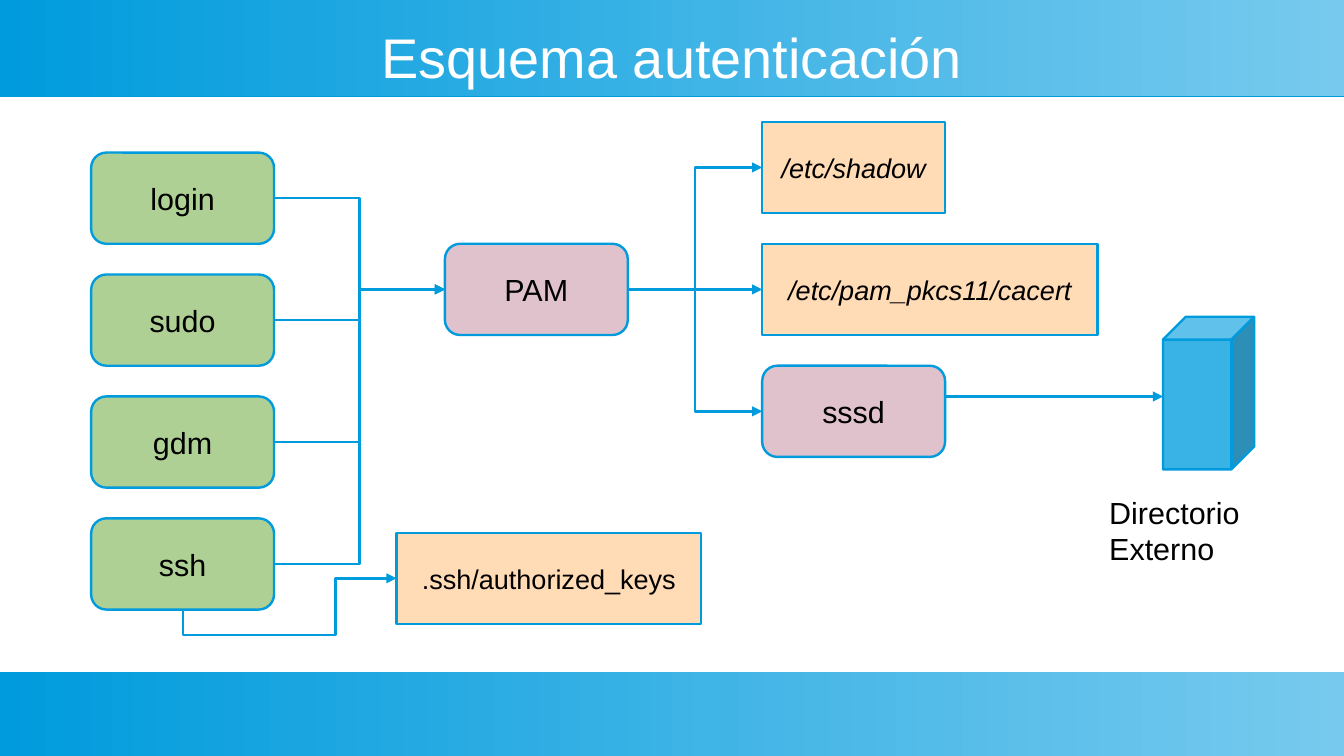
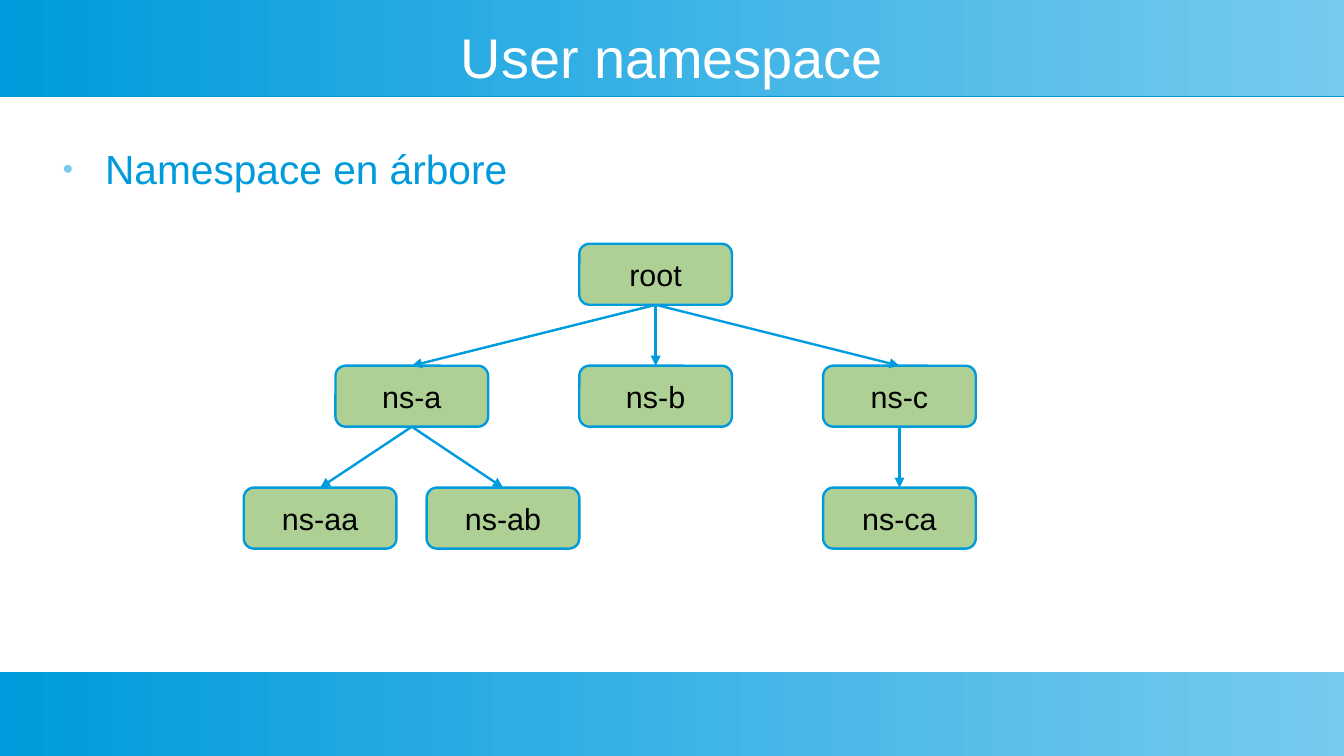
"""Build two slides: an authentication scheme and a tree of user namespaces."""
from lxml import etree
from pptx import Presentation
from pptx.dml.color import RGBColor
from pptx.enum.shapes import MSO_CONNECTOR, MSO_SHAPE
from pptx.enum.text import MSO_ANCHOR, MSO_AUTO_SIZE, PP_ALIGN
from pptx.oxml.ns import qn
from pptx.util import Cm, Pt

BLUE = RGBColor(0x00, 0x9B, 0xDD)
LIGHT_BLUE = RGBColor(0x77, 0xCA, 0xEE)
CUBE_BLUE = RGBColor(0x39, 0xB2, 0xE5)
GREEN = RGBColor(0xAF, 0xD0, 0x95)
PINK = RGBColor(0xE0, 0xC2, 0xCD)
PEACH = RGBColor(0xFF, 0xDB, 0xB6)
WHITE = RGBColor(0xFF, 0xFF, 0xFF)
BLACK = RGBColor(0x00, 0x00, 0x00)
RECTANGLE, ROUNDED, CUBE = MSO_SHAPE.RECTANGLE, MSO_SHAPE.ROUNDED_RECTANGLE, MSO_SHAPE.CUBE
STRAIGHT, ELBOW = MSO_CONNECTOR.STRAIGHT, MSO_CONNECTOR.ELBOW
LEFT, CENTER = PP_ALIGN.LEFT, PP_ALIGN.CENTER
TOP, MIDDLE = MSO_ANCHOR.TOP, MSO_ANCHOR.MIDDLE
NO_AUTOFIT = MSO_AUTO_SIZE.NONE
TOP_SITE, LEFT_SITE, BOTTOM_SITE, RIGHT_SITE = range(4)
LINE_WIDTH = Pt(1.42)
STEP = 2.54


def write_text(shape, text, size=18, color=BLACK, italic=False, align=CENTER,
               anchor=MIDDLE, wrap=True, inset=None):
    """Put formatted text into a shape."""
    frame = shape.text_frame
    frame.text = text
    frame.word_wrap = wrap
    frame.auto_size = NO_AUTOFIT
    frame.vertical_anchor = anchor
    if inset is not None:
        frame.margin_left = frame.margin_right = inset
        frame.margin_top = frame.margin_bottom = inset
    for paragraph in frame.paragraphs:
        paragraph.alignment = align
        paragraph.space_before = Pt(0)
        for run in paragraph.runs:
            run.font.name = "Arial"
            run.font.size = Pt(size)
            run.font.italic = italic
            run.font.color.rgb = color


def style_arrow(connector):
    """Give a connector the blue line and a triangular head."""
    connector.line.color.rgb = BLUE
    connector.line.width = LINE_WIDTH
    etree.SubElement(connector.line._get_or_add_ln(), qn("a:tailEnd"), type="triangle")
    etree.SubElement(connector._element.spPr, qn("a:effectLst"))


presentation = Presentation()
presentation.slide_width = Cm(28)
presentation.slide_height = Cm(15.75)
scheme = presentation.slides.add_slide(presentation.slide_layouts[5])
tree = presentation.slides.add_slide(presentation.slide_layouts[1])

master_tree = presentation.slide_master.shapes._spTree
for top, height in [(0, 2), (14, 1.75)]:
    band = scheme.shapes.add_shape(RECTANGLE, 0, Cm(top), Cm(28), Cm(height))
    band.line.fill.background()
    band.fill.gradient()
    band.fill.gradient_angle = 0
    for stop, color in zip(band.fill.gradient_stops, [BLUE, LIGHT_BLUE]):
        stop.color.rgb = color
    band.shadow.inherit = False
    effects = band._element.spPr.find(qn("a:effectLst"))
    shadow = etree.SubElement(effects, qn("a:outerShdw"), blurRad="0",
                              dist=str(Pt(0.9)), dir="5400000", rotWithShape="0")
    etree.SubElement(shadow, qn("a:srgbClr"), val=str(BLUE))
    master_tree.insert(2, band._element)

for slide, heading in [(scheme, "Esquema autenticación"), (tree, "User namespace")]:
    title = slide.shapes.title
    title.left, title.top, title.width, title.height = Cm(1), Cm(0.5), Cm(26), Cm(1.33)
    write_text(title, heading, size=33, color=WHITE, inset=0)

body = tree.placeholders[1]
body.left, body.top, body.width, body.height = Cm(1), Cm(3), Cm(26), Cm(10)
write_text(body, "Namespace en árbore", size=24, color=BLUE, align=LEFT, anchor=TOP, inset=0)
properties = body.text_frame.paragraphs[0]._p.get_or_add_pPr()
properties.set("marL", str(Cm(1.19)))
properties.set("indent", str(Cm(-0.89)))
bullet_color = etree.SubElement(properties, qn("a:buClr"))
etree.SubElement(bullet_color, qn("a:srgbClr"), val=str(LIGHT_BLUE))
etree.SubElement(properties, qn("a:buSzPct"), val="45000")
etree.SubElement(properties, qn("a:buFont"), typeface="Arial")
etree.SubElement(properties, qn("a:buChar"), char="●")

services = ["login", "sudo", "gdm", "ssh"]
box_specs = [
    (scheme, "PAM", ROUNDED, PINK, 9.27, 5.08, 3.81, 1.9),
    (scheme, "sssd", ROUNDED, PINK, 15.88, 7.62, 3.81, 1.9),
    (scheme, "/etc/shadow", RECTANGLE, PEACH, 15.88, 2.54, 3.81, 1.9),
    (scheme, "/etc/pam_pkcs11/cacert", RECTANGLE, PEACH, 15.88, 5.08, 6.99, 1.9),
    (scheme, ".ssh/authorized_keys", RECTANGLE, PEACH, 8.26, 11.1, 6.35, 1.9),
]
for row, service in enumerate(services):
    box_specs.append((scheme, service, ROUNDED, GREEN, 1.9, 3.18 + row * STEP, 3.81, 1.9))
for name, left, level in [("root", 12.07, 0), ("ns-a", 6.99, 1), ("ns-b", 12.07, 1),
                          ("ns-c", 17.15, 1), ("ns-aa", 5.08, 2), ("ns-ab", 8.89, 2),
                          ("ns-ca", 17.15, 2)]:
    box_specs.append((tree, name, ROUNDED, GREEN, left, 5.08 + level * STEP, 3.18, 1.27))
box_specs.append((scheme, "", CUBE, CUBE_BLUE, 24.23, 6.6, 1.9, 3.18))

boxes = {}
for slide, name, kind, fill, left, top, width, height in box_specs:
    box = slide.shapes.add_shape(kind, Cm(left), Cm(top), Cm(width), Cm(height))
    box.shadow.inherit = False
    box.fill.solid()
    box.fill.fore_color.rgb = fill
    box.line.color.rgb = BLUE
    box.line.width = LINE_WIDTH
    if name:
        write_text(box, name, size=16 if kind == RECTANGLE else 18,
                   italic=name.startswith("/etc"), wrap=False)
        boxes[name] = box

links = [(scheme, ELBOW, service, RIGHT_SITE, "PAM", LEFT_SITE) for service in services]
links += [
    (scheme, ELBOW, "PAM", RIGHT_SITE, "/etc/shadow", LEFT_SITE),
    (scheme, STRAIGHT, "PAM", RIGHT_SITE, "/etc/pam_pkcs11/cacert", LEFT_SITE),
    (scheme, ELBOW, "PAM", RIGHT_SITE, "sssd", LEFT_SITE),
    (scheme, ELBOW, "ssh", BOTTOM_SITE, ".ssh/authorized_keys", LEFT_SITE),
]
for parent, child in [("root", "ns-a"), ("root", "ns-b"), ("root", "ns-c"),
                      ("ns-a", "ns-aa"), ("ns-a", "ns-ab"), ("ns-c", "ns-ca")]:
    links.append((tree, STRAIGHT, parent, BOTTOM_SITE, child, TOP_SITE))

for slide, kind, source, source_site, target, target_site in links:
    connector = slide.shapes.add_connector(kind, 0, 0, 0, 0)
    connector.begin_connect(boxes[source], source_site)
    connector.end_connect(boxes[target], target_site)
    style_arrow(connector)
    if target == ".ssh/authorized_keys":
        connector.left, connector.top = Cm(5.71), Cm(10.15)
        connector.width, connector.height = Cm(0.65), Cm(4.45)
        transform = connector._element.spPr.find(qn("a:xfrm"))
        for attribute, value in [("rot", "5400000"), ("flipH", "1"), ("flipV", "1")]:
            transform.set(attribute, value)
        geometry = connector._element.spPr.find(qn("a:prstGeom"))
        geometry.set("prst", "bentConnector4")
        adjustments = geometry.find(qn("a:avLst"))
        for name, value in [("adj1", -81000), ("adj2", 71500)]:
            etree.SubElement(adjustments, qn("a:gd"), name=name, fmla=f"val {value}")

directory_arrow = scheme.shapes.add_connector(STRAIGHT, Cm(19.69), Cm(8.26), Cm(24.23), Cm(8.26))
style_arrow(directory_arrow)
directory_label = scheme.shapes.add_textbox(Cm(22.86), Cm(10.16), Cm(4.45), Cm(1.68))
write_text(directory_label, "Directorio\nExterno", align=LEFT, anchor=TOP)

presentation.save("out.pptx")
